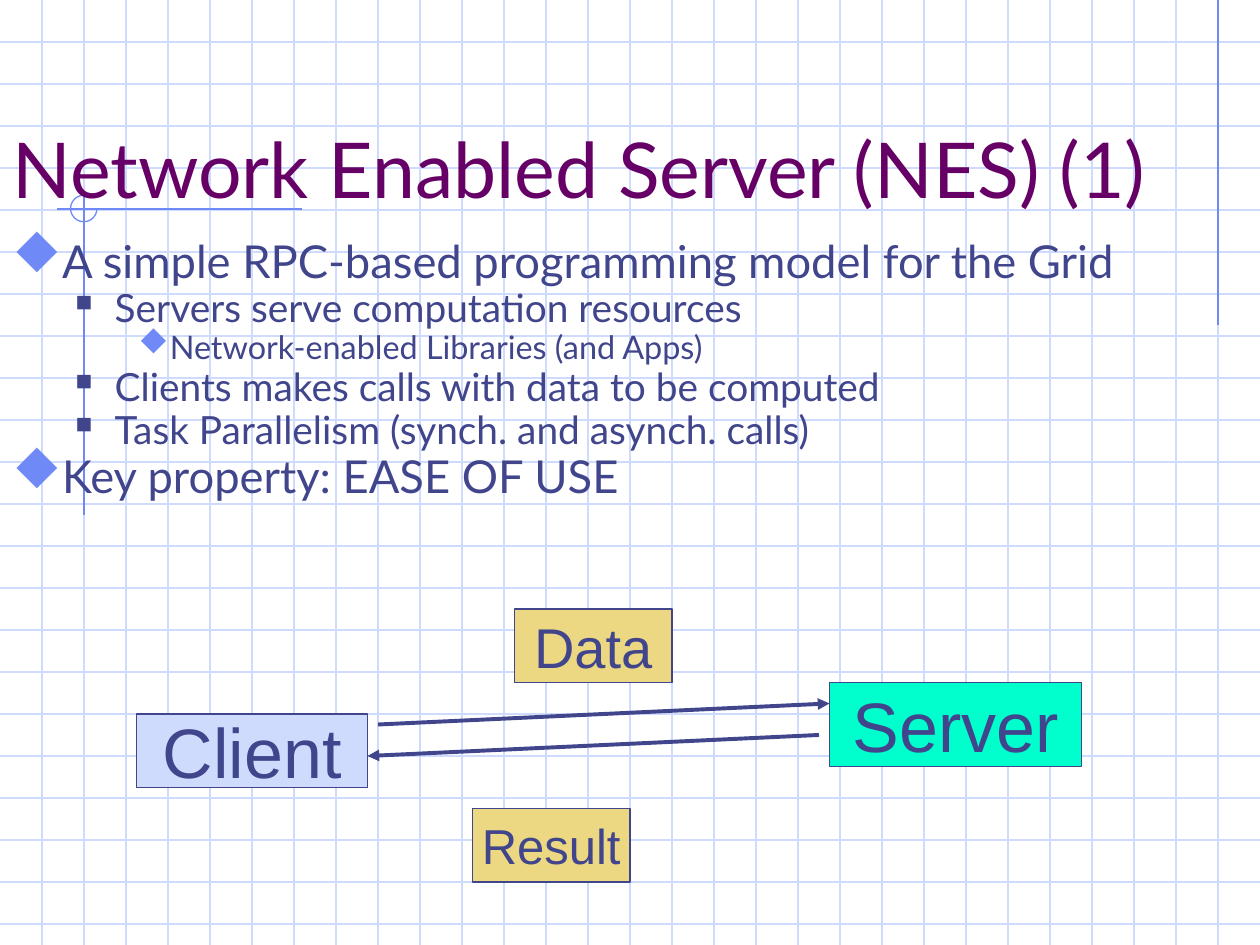
from dataclasses import dataclass

from lxml import etree
from pptx import Presentation
from pptx.dml.color import RGBColor
from pptx.enum.shapes import MSO_CONNECTOR, MSO_SHAPE
from pptx.enum.text import MSO_ANCHOR, MSO_AUTO_SIZE, PP_ALIGN
from pptx.oxml.ns import qn
from pptx.util import Pt

RECT, ARC = MSO_SHAPE.RECTANGLE, MSO_SHAPE.ARC
LINE = MSO_CONNECTOR.STRAIGHT
MID, LOW, TOP = MSO_ANCHOR.MIDDLE, MSO_ANCHOR.BOTTOM, MSO_ANCHOR.TOP
LEFT, MIDST = PP_ALIGN.LEFT, PP_ALIGN.CENTER
FIXED = MSO_AUTO_SIZE.NONE

PALE = RGBColor(0xCF, 0xDB, 0xFD)
BLUE = RGBColor(0x6F, 0x89, 0xF7)
INK = RGBColor(0x40, 0x45, 0x8C)
PLUM = RGBColor(0x66, 0x00, 0x66)
MINT = RGBColor(0x00, 0xFF, 0xCC)
SAND = RGBColor(0xEC, 0xD8, 0x82)

WIDE, HIGH, STEP = 720, 540, 24
THIN, BOLD = 0.75, 2.25
DIAMOND, SQUARE = "u", "n"  # letters of the Wingdings symbol font


@dataclass
class Rule:
    start: tuple
    stop: tuple
    color: RGBColor
    width: float = THIN
    arrow: str = ""


@dataclass
class Node:
    text: str
    area: tuple
    fill: RGBColor
    size: int


@dataclass
class Level:
    left: float
    hang: float
    size: float
    gap: int
    mark: str
    color: RGBColor
    scale: int


LEVELS = [
    Level(27, 27, 25.9, 7, DIAMOND, BLUE, 110),
    Level(58.5, 22.5, 22.2, 6, SQUARE, INK, 60),
    Level(90, 18, 18.5, 5, DIAMOND, BLUE, 95),
]
POINTS = [
    (0, "A simple RPC-based programming model for the Grid"),
    (1, "Servers serve computation resources"),
    (2, "Network-enabled Libraries (and Apps)"),
    (1, "Clients makes calls with data to be computed"),
    (1, "Task Parallelism (synch. and asynch. calls)"),
    (0, "Key property: EASE OF USE"),
]
NODES = [
    Node("Client", (78, 408, 132, 42), PALE, 40),
    Node("Server", (474, 390, 144, 48), MINT, 40),
    Node("Data", (294, 348, 90, 42), SAND, 32),
    Node("Result", (270, 462, 90, 42), SAND, 28),
]
TRIM = [
    Rule((696, 0), (696, 186), BLUE),
    Rule((172.8, 119.5), (32.4, 119.5), BLUE),
    Rule((48, 111.6), (48, 294.5), BLUE),
]
CALLS = [
    Rule((216, 414), (474, 402), INK, BOLD, "tailEnd"),
    Rule((210, 432), (468, 420), INK, BOLD, "headEnd"),
]


def style(item, **values) -> None:
    for name, value in values.items():
        setattr(item, name, value)


def write(para, text: str, face: str, size: float, color: RGBColor) -> None:
    run = para.add_run()
    run.text = text
    style(run.font, name=face, size=Pt(size))
    run.font.color.rgb = color


def draw_rule(shapes, rule: Rule) -> None:
    ends = [Pt(v) for v in rule.start + rule.stop]
    line = shapes.add_connector(LINE, *ends)
    line.line.color.rgb = rule.color
    line.line.width = Pt(rule.width)
    if rule.arrow:
        pen = line.line._get_or_add_ln()
        etree.SubElement(pen, qn("a:" + rule.arrow), type="triangle")
    etree.SubElement(line.element.spPr, qn("a:effectLst"))


def draw_grid(shapes) -> None:
    for y in range(STEP, HIGH, STEP):
        draw_rule(shapes, Rule((0, y), (WIDE, y), PALE))
    for x in range(STEP, WIDE, STEP):
        draw_rule(shapes, Rule((x, 0), (x, HIGH), PALE))


def draw_ring(shapes) -> None:
    """Draw the three-quarter circle where the trim lines cross."""
    ring = shapes.add_shape(ARC, Pt(40.3), Pt(111.6), Pt(15.1), Pt(15.1))
    ring.shadow.inherit = False
    ring.adjustments[0], ring.adjustments[1] = 0, 162
    ring.fill.background()
    ring.line.color.rgb = BLUE
    ring.line.width = Pt(THIN)


def draw_node(shapes, node: Node) -> None:
    box = shapes.add_shape(RECT, *[Pt(v) for v in node.area])
    box.shadow.inherit = False
    box.fill.solid()
    box.fill.fore_color.rgb = node.fill
    box.line.color.rgb = INK
    box.line.width = Pt(THIN)
    style(box.text_frame, word_wrap=False, vertical_anchor=MID)
    para = box.text_frame.paragraphs[0]
    para.alignment = MIDST
    write(para, node.text, "Arial", node.size, INK)


def draw_title(slide) -> None:
    title = slide.shapes.title
    style(title, left=Pt(0), top=Pt(36), width=Pt(WIDE), height=Pt(90))
    title.element.getparent().append(title.element)  # in front of the grid
    style(title.text_frame, word_wrap=True, vertical_anchor=LOW,
          auto_size=FIXED)
    para = title.text_frame.paragraphs[0]
    para.alignment = LEFT
    write(para, "Network Enabled Server (NES) (1)", "Lato", 44, PLUM)


def add_mark(para, level: Level) -> None:
    props = para._p.get_or_add_pPr()
    props.set("marL", str(Pt(level.left)))
    props.set("indent", str(-Pt(level.hang)))
    tint = etree.SubElement(props, qn("a:buClr"))
    etree.SubElement(tint, qn("a:srgbClr"), val=str(level.color))
    etree.SubElement(props, qn("a:buSzPct"), val=str(level.scale * 1000))
    etree.SubElement(props, qn("a:buFont"), typeface="Wingdings",
                     pitchFamily="2", charset="2")
    etree.SubElement(props, qn("a:buChar"), char=level.mark)


def draw_points(shapes) -> None:
    box = shapes.add_textbox(Pt(0), Pt(138), Pt(WIDE), Pt(162))
    frame = box.text_frame
    style(frame, word_wrap=True, vertical_anchor=TOP, auto_size=FIXED)
    for i, (depth, text) in enumerate(POINTS):
        level = LEVELS[depth]
        para = frame.add_paragraph() if i else frame.paragraphs[0]
        add_mark(para, level)
        style(para, level=depth, line_spacing=0.7)
        if i:
            para.space_before = Pt(level.gap)
        write(para, text, "Lato", level.size, INK)


def main() -> None:
    deck = Presentation()
    style(deck, slide_width=Pt(WIDE), slide_height=Pt(HIGH))
    slide = deck.slides.add_slide(deck.slide_layouts[5])
    shapes = slide.shapes
    draw_grid(shapes)
    for rule in TRIM:
        draw_rule(shapes, rule)
    draw_ring(shapes)
    draw_title(slide)
    draw_points(shapes)
    for node in NODES:
        draw_node(shapes, node)
    for rule in CALLS:
        draw_rule(shapes, rule)
    deck.save("out.pptx")


if __name__ == "__main__":
    main()
